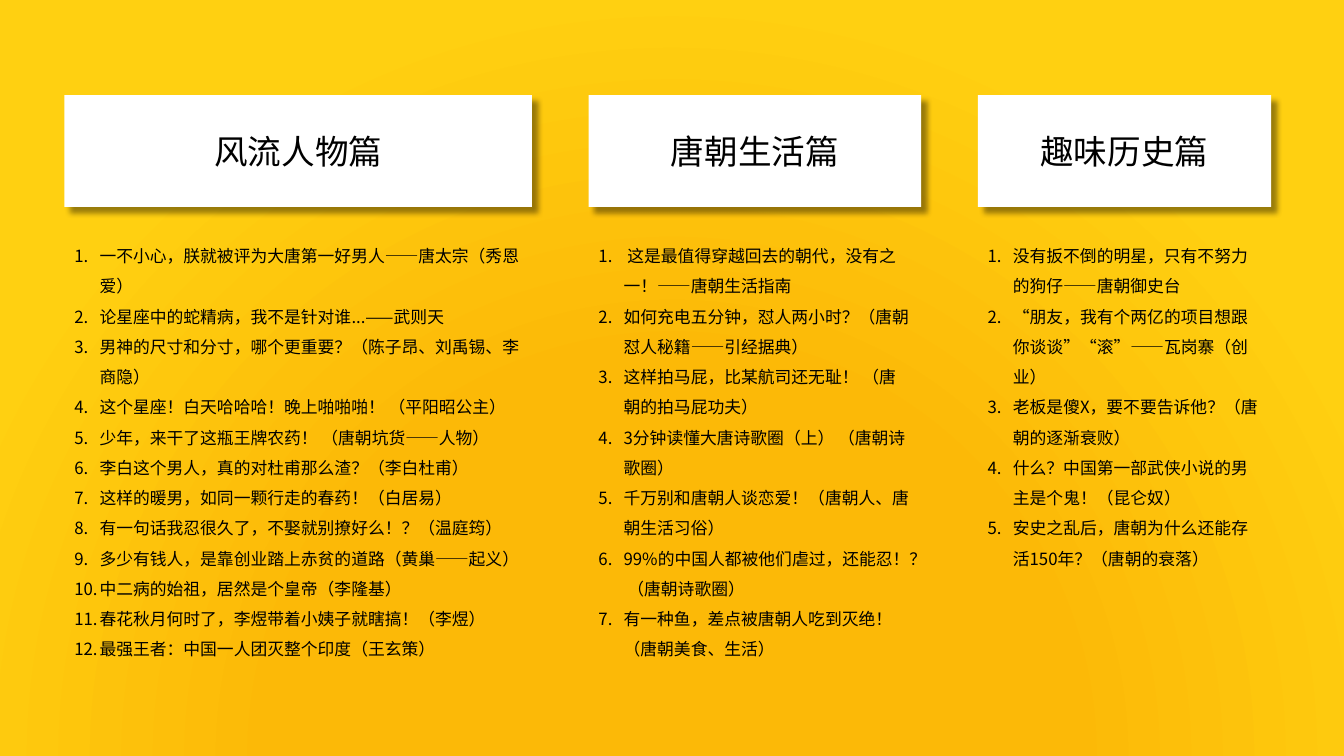
from dataclasses import dataclass

from pptx import Presentation
from pptx.dml.color import RGBColor as RGB
from pptx.enum.shapes import MSO_SHAPE as Form
from pptx.enum.text import MSO_ANCHOR as Anchor, MSO_AUTO_SIZE as Auto, PP_ALIGN as Align
from pptx.oxml import parse_xml
from pptx.oxml.ns import nsdecls, qn
from pptx.util import Pt


@dataclass(frozen=True)
class Theme:
    ink: str = "000000"
    card: str = "FFFFFF"
    core: str = "FCB907"
    rim: str = "FFD011"
    head: int = 24
    body: int = 12
    latin: str = "Calibri"
    hans: str = "Noto Sans CJK SC"


theme = Theme()
NS = nsdecls("a")


def write(frame, lines, size, face, align=None, space=None, number=False):
    """Fill a frame with one paragraph per line, numbered on request."""
    frame.word_wrap = True
    for i, line in enumerate(lines):
        para = frame.paragraphs[0] if i == 0 else frame.add_paragraph()
        para.alignment = align
        para.line_spacing = space
        run = para.add_run()
        run.text = line
        run.font.size = Pt(size)
        run.font.name = face
        run.font.color.rgb = RGB.from_string(theme.ink)
        run.font._element.append(parse_xml(f'<a:ea {NS} typeface="{face}"/>'))
        if number:
            props = para._p.get_or_add_pPr()
            props.set("marL", str(Pt(18)))
            props.set("indent", str(Pt(-18)))
            props.append(parse_xml(f'<a:buFont {NS} typeface="+mj-lt"/>'))
            props.append(parse_xml(f'<a:buAutoNum {NS} type="arabicPeriod"/>'))


# Column: heading, width, text lines in the box, entries
columns = [
    ("风流人物篇", 334, 15, [
        "一不小心，朕就被评为大唐第一好男人——唐太宗（秀恩爱）",
        "论星座中的蛇精病，我不是针对谁...——武则天",
        "男神的尺寸和分寸，哪个更重要？（陈子昂、刘禹锡、李商隐）",
        "这个星座！白天哈哈哈！晚上啪啪啪！ （平阳昭公主）",
        "少年，来干了这瓶王牌农药！ （唐朝坑货——人物）",
        "李白这个男人，真的对杜甫那么渣？（李白杜甫）",
        "这样的暖男，如同一颗行走的春药！（白居易）",
        "有一句话我忍很久了，不娶就别撩好么！？（温庭筠）",
        "多少有钱人，是靠创业踏上赤贫的道路（黄巢——起义）",
        "中二病的始祖，居然是个皇帝（李隆基）",
        "春花秋月何时了，李煜带着小姨子就瞎搞！（李煜）",
        "最强王者：中国一人团灭整个印度（王玄策）",
    ]),
    ("唐朝生活篇", 237.6, 14, [
        " 这是最值得穿越回去的朝代，没有之一！——唐朝生活指南",
        "如何充电五分钟，怼人两小时？（唐朝怼人秘籍——引经据典）",
        "这样拍马屁，比某航司还无耻！ （唐朝的拍马屁功夫）",
        "3分钟读懂大唐诗歌圈（上） （唐朝诗歌圈）",
        "千万别和唐朝人谈恋爱！（唐朝人、唐朝生活习俗）",
        "99%的中国人都被他们虐过，还能忍！？ （唐朝诗歌圈）",
        "有一种鱼，差点被唐朝人吃到灭绝！（唐朝美食、生活）",
    ]),
    ("趣味历史篇", 209.5, 11, [
        "没有扳不倒的明星，只有不努力的狗仔——唐朝御史台",
        "“朋友，我有个两亿的项目想跟你谈谈”“滚”——瓦岗寨（创业）",
        "老板是傻X，要不要告诉他？（唐朝的逐渐衰败）",
        "什么？中国第一部武侠小说的男主是个鬼！（昆仑奴）",
        "安史之乱后，唐朝为什么还能存活150年？（唐朝的衰落）",
    ]),
]

deck = Presentation()
deck.slide_width, deck.slide_height = Pt(960), Pt(540)
slide = deck.slides.add_slide(deck.slide_layouts[6])

# Glow rising from below the slide
slide.background.fill.gradient()
grad = next(slide.element.iter(qn("a:gradFill")))
grad.getparent().replace(grad, parse_xml(
    f'<a:gradFill {NS} rotWithShape="1"><a:gsLst>'
    f'<a:gs pos="51000"><a:srgbClr val="{theme.core}"/></a:gs>'
    f'<a:gs pos="100000"><a:srgbClr val="{theme.rim}"/></a:gs></a:gsLst>'
    '<a:path path="circle"><a:fillToRect l="50000" t="130000" r="50000" b="-30000"/>'
    '</a:path></a:gradFill>'))

left, gap = 46, 40.4
for title, width, rows, items in columns:
    card = slide.shapes.add_shape(Form.RECTANGLE, Pt(left), Pt(67.9), Pt(width), Pt(80))
    card.fill.solid()
    card.fill.fore_color.rgb = RGB.from_string(theme.card)
    card.line.fill.background()
    card._element.spPr.append(parse_xml(
        f'<a:effectLst {NS}><a:outerShdw blurRad="{Pt(4)}" dist="{Pt(6)}" dir="2700000" '
        f'algn="tl" rotWithShape="0"><a:srgbClr val="{theme.ink}"><a:alpha val="40000"/>'
        '</a:srgbClr></a:outerShdw></a:effectLst>'))
    card.text_frame.vertical_anchor = Anchor.MIDDLE
    write(card.text_frame, [title], theme.head, theme.latin, align=Align.CENTER)

    box = slide.shapes.add_textbox(Pt(left), Pt(164.9), Pt(width), Pt(7.2 + 21.64 * rows))
    box.text_frame.auto_size = Auto.SHAPE_TO_FIT_TEXT
    write(box.text_frame, items, theme.body, theme.hans, space=1.5, number=True)
    left += width + gap

deck.save("out.pptx")
